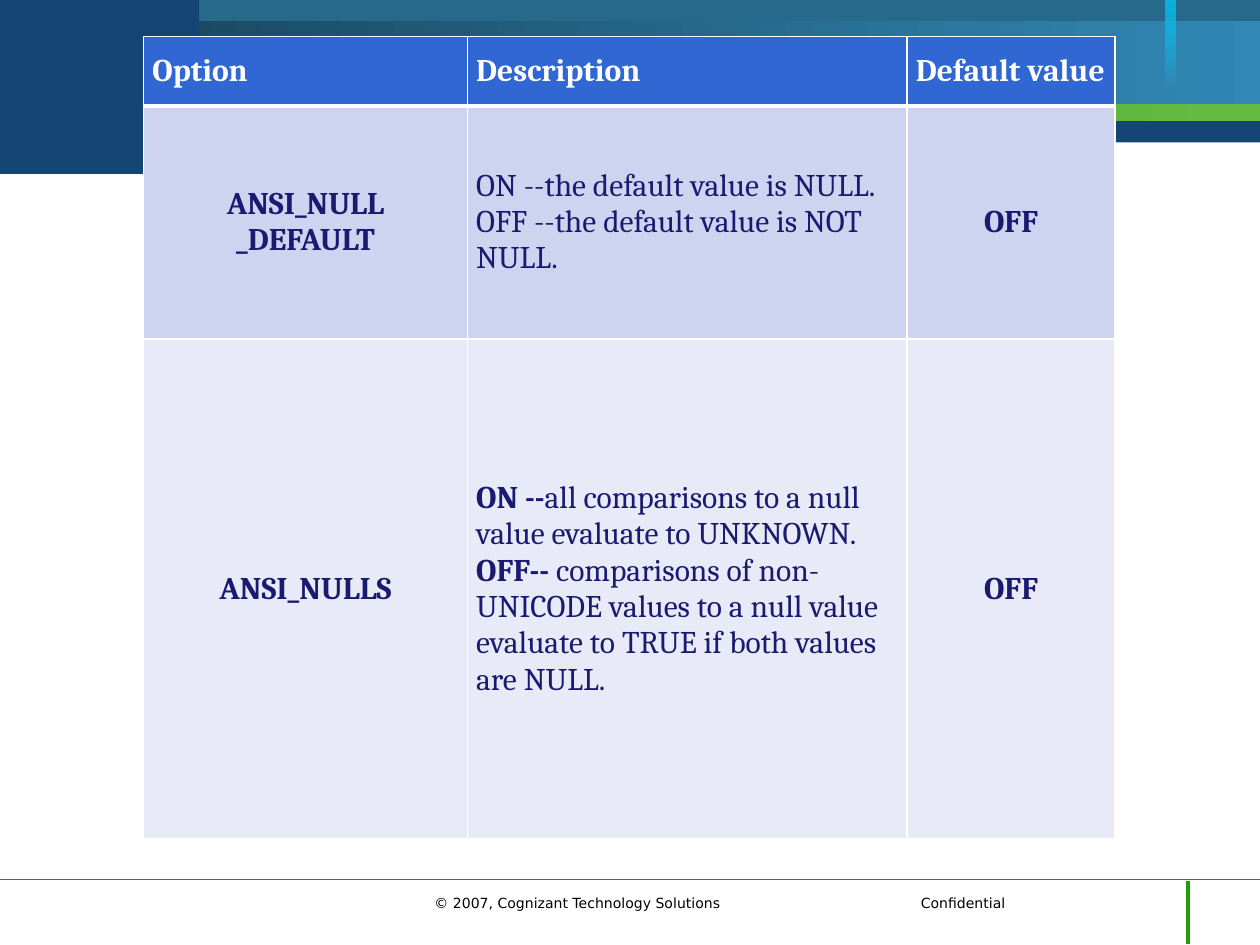
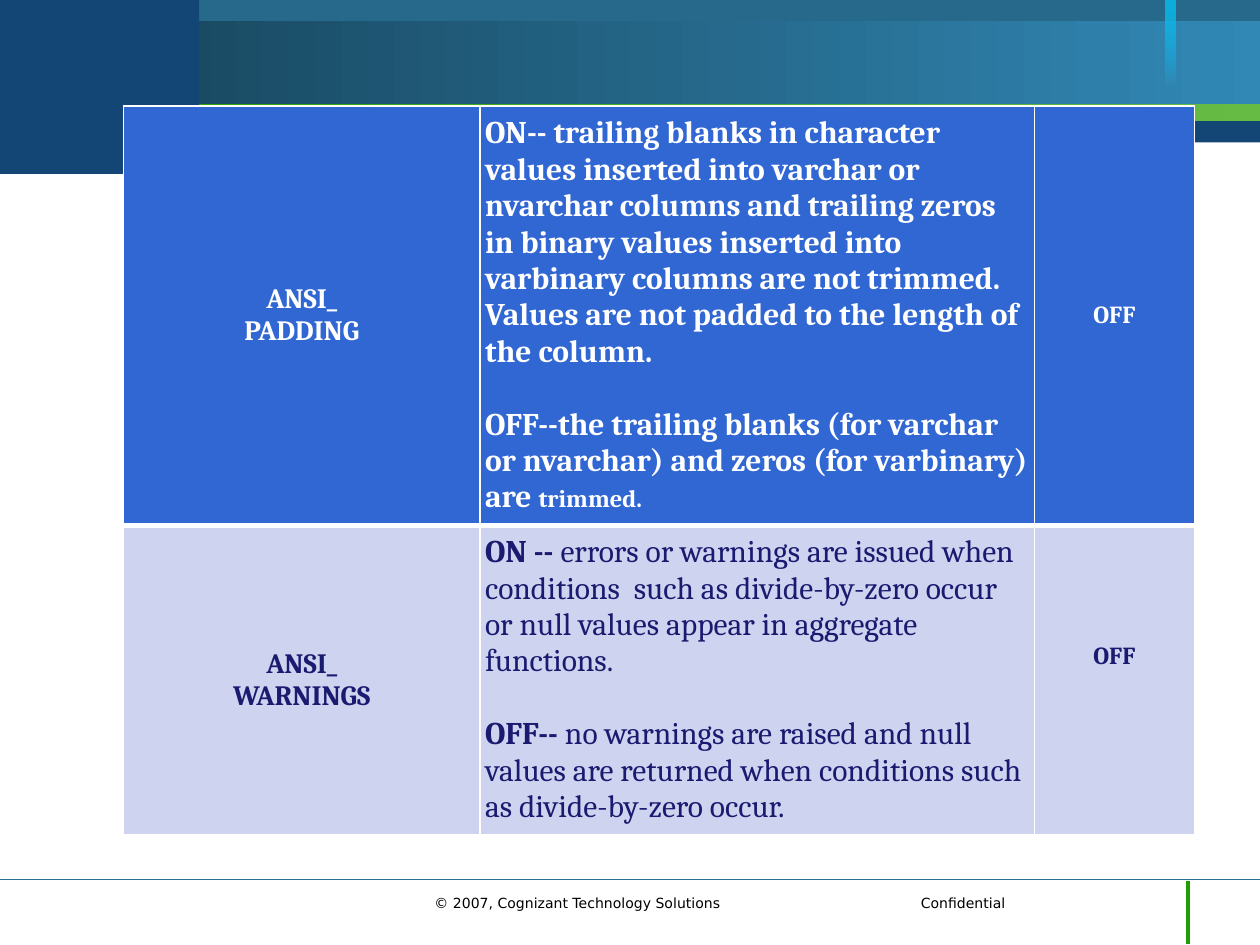
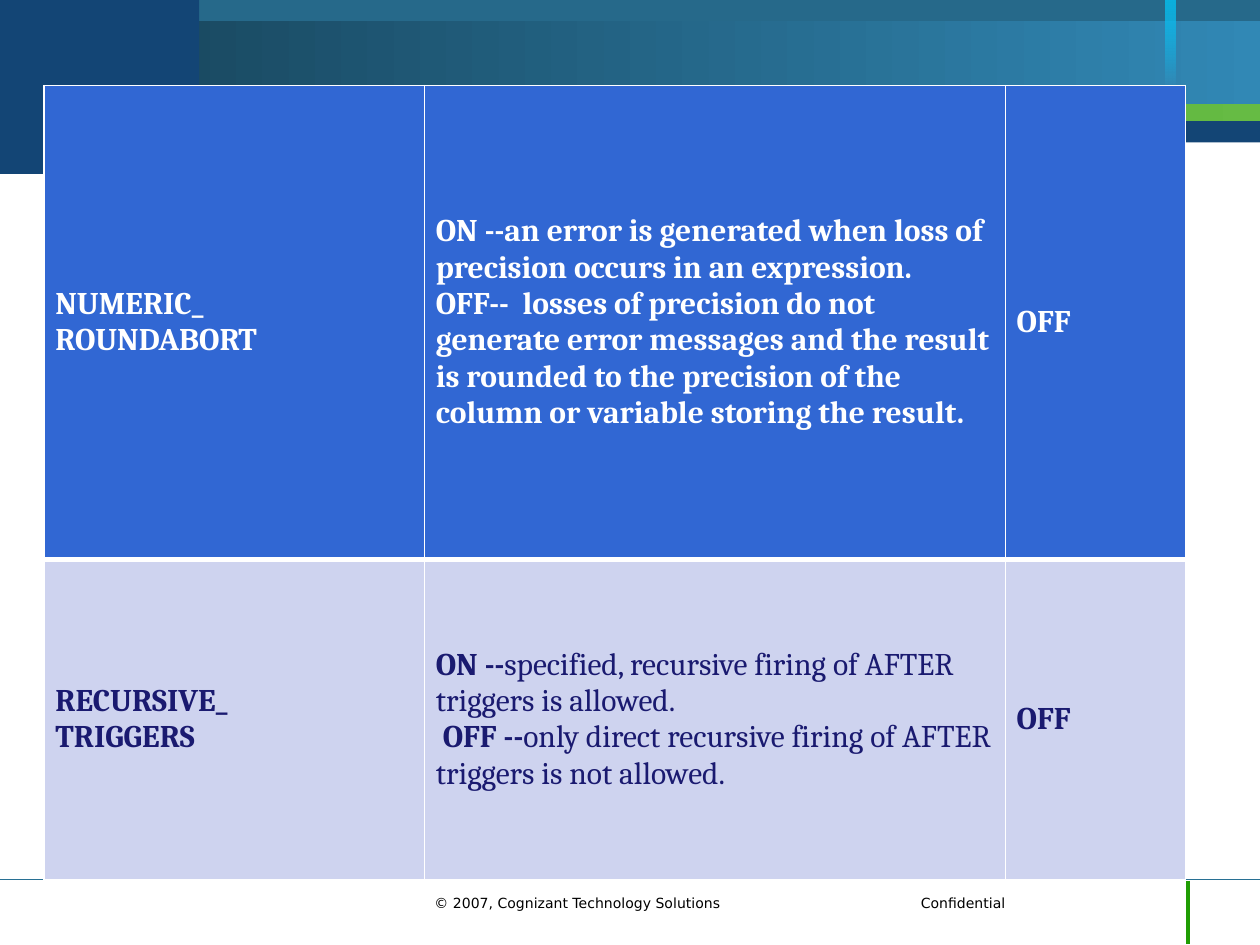
from dataclasses import dataclass
from typing import NamedTuple, Optional

from lxml import etree
from pptx import Presentation
from pptx.dml.color import RGBColor
from pptx.enum.shapes import MSO_CONNECTOR, MSO_SHAPE
from pptx.enum.text import MSO_ANCHOR, PP_ALIGN
from pptx.oxml.ns import qn
from pptx.util import Inches, Pt

LEFT, CENTER = PP_ALIGN.LEFT, PP_ALIGN.CENTER
MIDDLE, TOP = MSO_ANCHOR.MIDDLE, MSO_ANCHOR.TOP
RECTANGLE, STRAIGHT = MSO_SHAPE.RECTANGLE, MSO_CONNECTOR.STRAIGHT

WHITE, BLACK, INK = "FFFFFF", "000000", "1A1A70"
NAVY, TEAL, STEEL = "134575", "26698A", "3188B5"
HEADER, BAND_DARK, BAND_LIGHT = "3167D3", "CED3EF", "E8EBF7"
ROW_FILLS = (HEADER, BAND_DARK, BAND_LIGHT)
TABLE_FONT, FOOTER_FONT = "Cambria", "DejaVu Sans"
THIN, THICK = 1, 3


class Band(NamedTuple):
    """A rectangle of the slide background, plain or with a gradient."""
    left: float
    top: float
    width: float
    height: float
    color: str
    end_color: Optional[str] = None
    angle: int = 0
    opacity: int = 100


class Rule(NamedTuple):
    """A straight line of the footer."""
    start: tuple[float, float]
    end: tuple[float, float]
    color: str
    weight: float


class Span(NamedTuple):
    """A stretch of text with one weight and size."""
    text: str
    bold: bool = True
    size: Optional[float] = None


@dataclass
class Entry:
    """The content of one table cell."""
    paragraphs: list[list[Span]]
    size: float = 18
    align: PP_ALIGN = LEFT
    gap: float = 0
    inset_top: Optional[float] = None


@dataclass
class OptionTable:
    """A table of database options with its place and measures."""
    left: float
    top: float
    columns: list[float]
    heights: list[float]
    inset: tuple[float, float]
    rows: list[list[Entry]]


BANDS = [
    Band(0, 0.01, 10, 1.12, NAVY),
    Band(1.58, 0, 8.42, 0.96, TEAL),
    Band(0, 1.13, 1.58, 0.25, NAVY),
    Band(0, 0.7, 10, 0.26, "2D9F01", "66BB44"),
    Band(0, 0.17, 10, 0.66, "164055", STEEL),
    Band(0, 0, 1.58, 1.17, NAVY),
    Band(9.25, 0, 0.08, 0.67, "00CCFF", STEEL, 270, 70),
]
RULES = [
    Rule((10, 6.98), (0, 6.98), "287094", 0.75),
    Rule((9.43, 6.99), (9.43, 7.49), "209D03", 2),
]
FOOTER = "© 2007, Cognizant Technology Solutions\tConfidential"


def label(*lines: str, size: float = 18, align: PP_ALIGN = CENTER,
          inset_top: Optional[float] = None) -> Entry:
    """Return a bold entry with one paragraph for each line."""
    return Entry([[Span(line)] for line in lines], size, align, inset_top=inset_top)


TABLES = [
    OptionTable(1.14, 0.29, [2.57, 3.49, 1.65], [0.55, 1.85, 3.97], (0.07, 0.04), [
        [label(heading, align=LEFT) for heading in ("Option", "Description", "Default value")],
        [
            label("ANSI_NULL", "_DEFAULT"),
            Entry([[Span("ON --the default value is NULL.", False)],
                   [Span("OFF --the default value is NOT NULL.", False)]]),
            label("OFF"),
        ],
        [
            label("ANSI_NULLS"),
            Entry([[Span("ON --"),
                    Span("all comparisons to a null value evaluate to UNKNOWN.", False)],
                   [Span("OFF-- "),
                    Span("comparisons of non-UNICODE values to a null value evaluate to "
                         "TRUE if both values are NULL.", False)]]),
            label("OFF"),
        ],
    ]),
    OptionTable(0.98, 0.84, [2.83, 4.4, 1.27], [3.33, 2.45], (0.04, 0.02), [
        [
            label("ANSI_", "PADDING", size=16),
            Entry([[Span("ON-- trailing blanks in character values inserted into varchar or "
                         "nvarchar columns and trailing zeros in binary values inserted into "
                         "varbinary columns are not trimmed. Values are not padded to the "
                         "length of the column.")],
                   [Span("OFF--the trailing blanks (for varchar or nvarchar) and zeros "
                         "(for varbinary) are "), Span("trimmed.", size=14)]], gap=21),
            label("OFF", size=14),
        ],
        [
            label("ANSI_", "WARNINGS", size=16),
            Entry([[Span("ON -- "),
                    Span("errors or warnings are issued when conditions  such as "
                         "divide-by-zero occur or null values appear in aggregate "
                         "functions.", False)],
                   [Span("OFF-- "),
                    Span("no warnings are raised and null values are returned when "
                         "conditions such as divide-by-zero occur.", False)]], gap=21),
            label("OFF", size=14, inset_top=0.93),
        ],
    ]),
    OptionTable(0.35, 0.68, [3.02, 4.61, 1.43], [3.76, 2.54], (0.09, 0.04), [
        [
            label("NUMERIC_", "ROUNDABORT", align=LEFT),
            label("ON --an error is generated when loss of precision occurs in an expression.",
                  "OFF--  losses of precision do not generate error messages and the result "
                  "is rounded to the precision of the column or variable storing the result.",
                  align=LEFT),
            label("OFF", align=LEFT),
        ],
        [
            label("RECURSIVE_", "TRIGGERS", align=LEFT),
            Entry([[Span("ON --"),
                    Span("specified, recursive firing of AFTER triggers is allowed.", False)],
                   [Span(" OFF --"),
                    Span("only direct recursive firing of AFTER triggers is not allowed.",
                         False)]]),
            label("OFF", align=LEFT),
        ],
    ]),
]


def rgb(color: str) -> RGBColor:
    """Return the colour of a hex string."""
    return RGBColor.from_string(color)


def write(frame, paragraphs: list[list[Span]], *, size: float, color: str, font: str,
          align: PP_ALIGN = LEFT, gap: float = 0, tab: float = 0) -> None:
    """Fill a text frame with formatted paragraphs."""
    frame.word_wrap = True
    for index, spans in enumerate(paragraphs):
        paragraph = frame.add_paragraph() if index else frame.paragraphs[0]
        paragraph.alignment = align
        if index and gap:
            paragraph.space_before = Pt(gap)
        if tab:
            tabs = etree.SubElement(paragraph._p.get_or_add_pPr(), qn("a:tabLst"))
            etree.SubElement(tabs, qn("a:tab"), pos=str(Inches(tab)), algn="l")
        for span in spans:
            run = paragraph.add_run()
            run.text = span.text
            run.font.name = font
            run.font.size = Pt(span.size or size)
            run.font.bold = span.bold
            run.font.color.rgb = rgb(color)


def draw_band(slide, band: Band) -> None:
    """Draw one rectangle of the background."""
    shape = slide.shapes.add_shape(RECTANGLE, *(Inches(length) for length in band[:4]))
    shape.shadow.inherit = False
    shape.line.fill.background()
    if band.end_color is None:
        shape.fill.solid()
        shape.fill.fore_color.rgb = rgb(band.color)
        return
    shape.fill.gradient()
    shape.fill.gradient_angle = band.angle
    for stop, color in zip(shape.fill.gradient_stops, (band.color, band.end_color)):
        stop.color.rgb = rgb(color)
    if band.opacity < 100:
        first_color = next(shape.element.iter(qn("a:srgbClr")))
        etree.SubElement(first_color, qn("a:alpha"), val=str(band.opacity * 1000))


def draw_rule(slide, rule: Rule) -> None:
    """Draw one line of the footer."""
    ends = (Inches(length) for length in rule.start + rule.end)
    connector = slide.shapes.add_connector(STRAIGHT, *ends)
    connector.line.color.rgb = rgb(rule.color)
    connector.line.width = Pt(rule.weight)
    etree.SubElement(connector.element.spPr, qn("a:effectLst"))


def build_layout(layout, slide) -> None:
    """Draw the shared frame on a slide and move it to the layout."""
    for placeholder in list(layout.placeholders):
        placeholder.element.getparent().remove(placeholder.element)
    for band in BANDS:
        draw_band(slide, band)
    for rule in RULES:
        draw_rule(slide, rule)
    footer = slide.shapes.add_textbox(Inches(3.35), Inches(7.05), Inches(5.44), Inches(0.37))
    write(footer.text_frame, [[Span(FOOTER, False)]], size=8, color=BLACK,
          font=FOOTER_FONT, tab=3.86)
    for shape in list(slide.shapes):
        layout.element.cSld.spTree.append(shape.element)


def set_borders(cell, row: int) -> None:
    """Give a cell white borders, thick between the header and the body."""
    weights = {"L": THIN, "R": THIN,
               "T": THICK if row == 1 else THIN, "B": THICK if row == 0 else THIN}
    properties = cell._tc.get_or_add_tcPr()
    for side, weight in weights.items():
        border = etree.SubElement(properties, qn(f"a:ln{side}"), w=str(Pt(weight)))
        fill = etree.SubElement(border, qn("a:solidFill"))
        etree.SubElement(fill, qn("a:srgbClr"), val=WHITE)


def fill_cell(cell, entry: Entry, row: int, inset: tuple[float, float]) -> None:
    """Format a cell and write its entry."""
    side, edge = inset
    cell.margin_left = cell.margin_right = Inches(side)
    cell.margin_top = Inches(entry.inset_top or edge)
    cell.margin_bottom = Inches(edge)
    cell.vertical_anchor = TOP if entry.inset_top else MIDDLE
    set_borders(cell, row)
    cell.fill.solid()
    cell.fill.fore_color.rgb = rgb(ROW_FILLS[row])
    write(cell.text_frame, entry.paragraphs, size=entry.size, font=TABLE_FONT,
          color=INK if row else WHITE, align=entry.align, gap=entry.gap)


def draw_table(slide, options: OptionTable) -> None:
    """Draw a table of options."""
    table = slide.shapes.add_table(
        len(options.heights), len(options.columns), Inches(options.left), Inches(options.top),
        Inches(sum(options.columns)), Inches(sum(options.heights))).table
    table.horz_banding = False
    for column, width in zip(table.columns, options.columns):
        column.width = Inches(width)
    for row, (height, entries) in enumerate(zip(options.heights, options.rows)):
        table.rows[row].height = Inches(height)
        for column, entry in enumerate(entries):
            fill_cell(table.cell(row, column), entry, row, options.inset)


def main() -> None:
    """Build the presentation."""
    presentation = Presentation()
    presentation.slide_width, presentation.slide_height = Inches(10), Inches(7.5)
    layout = presentation.slide_layouts.get_by_name("Blank")
    slides = [presentation.slides.add_slide(layout) for _ in TABLES]
    build_layout(layout, slides[0])
    for slide, options in zip(slides, TABLES):
        draw_table(slide, options)
    presentation.save("out.pptx")


if __name__ == "__main__":
    main()
